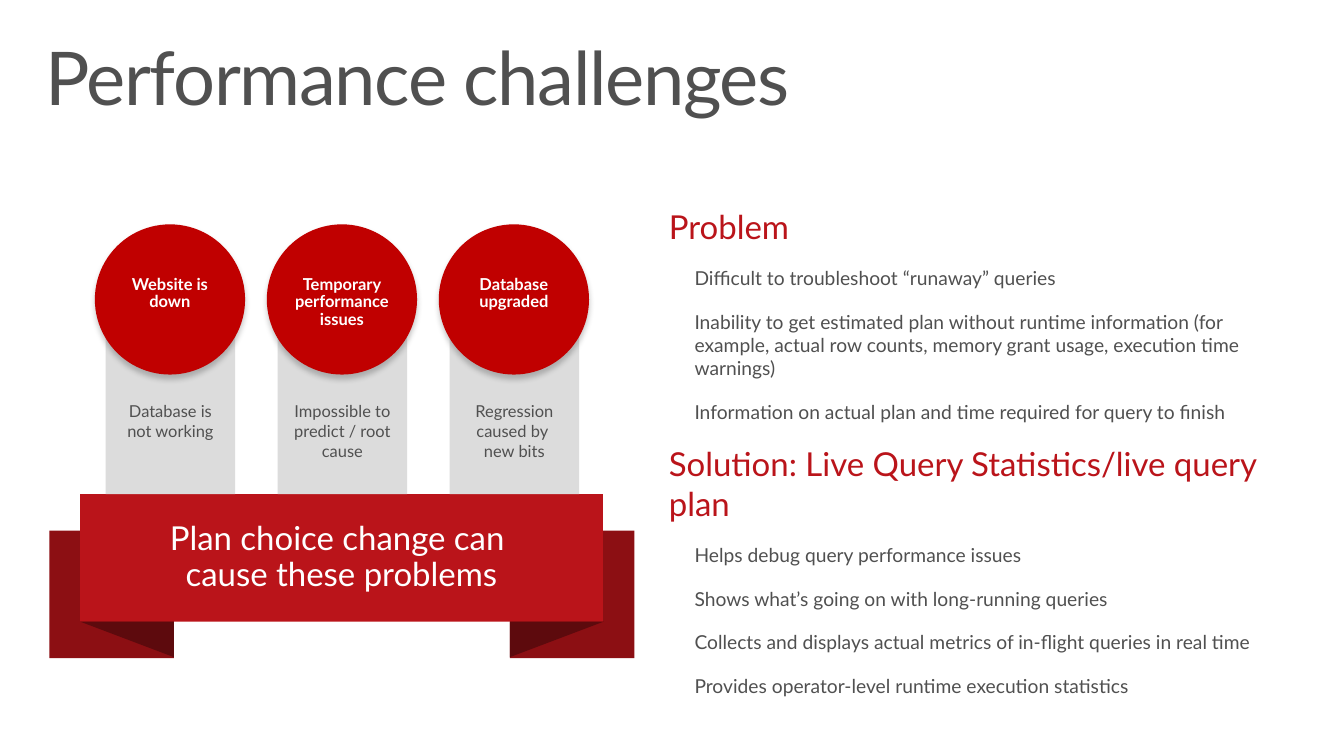
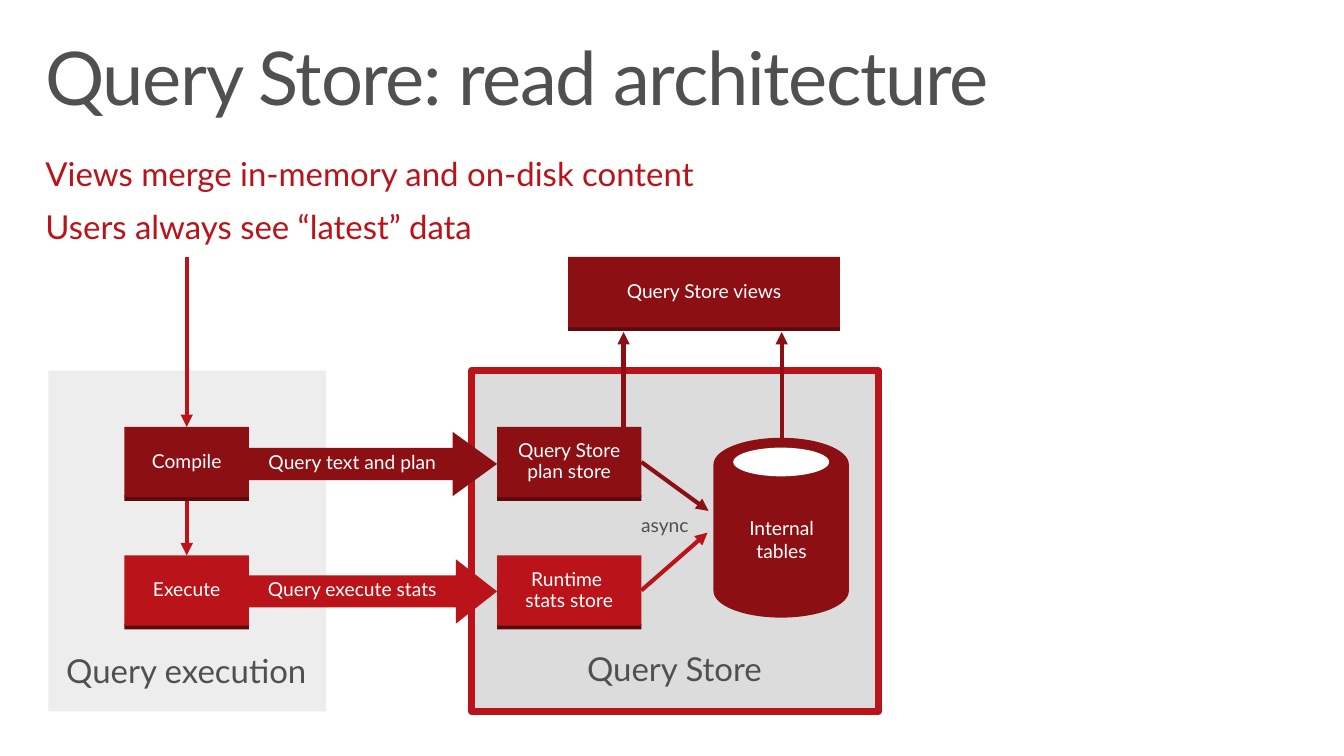
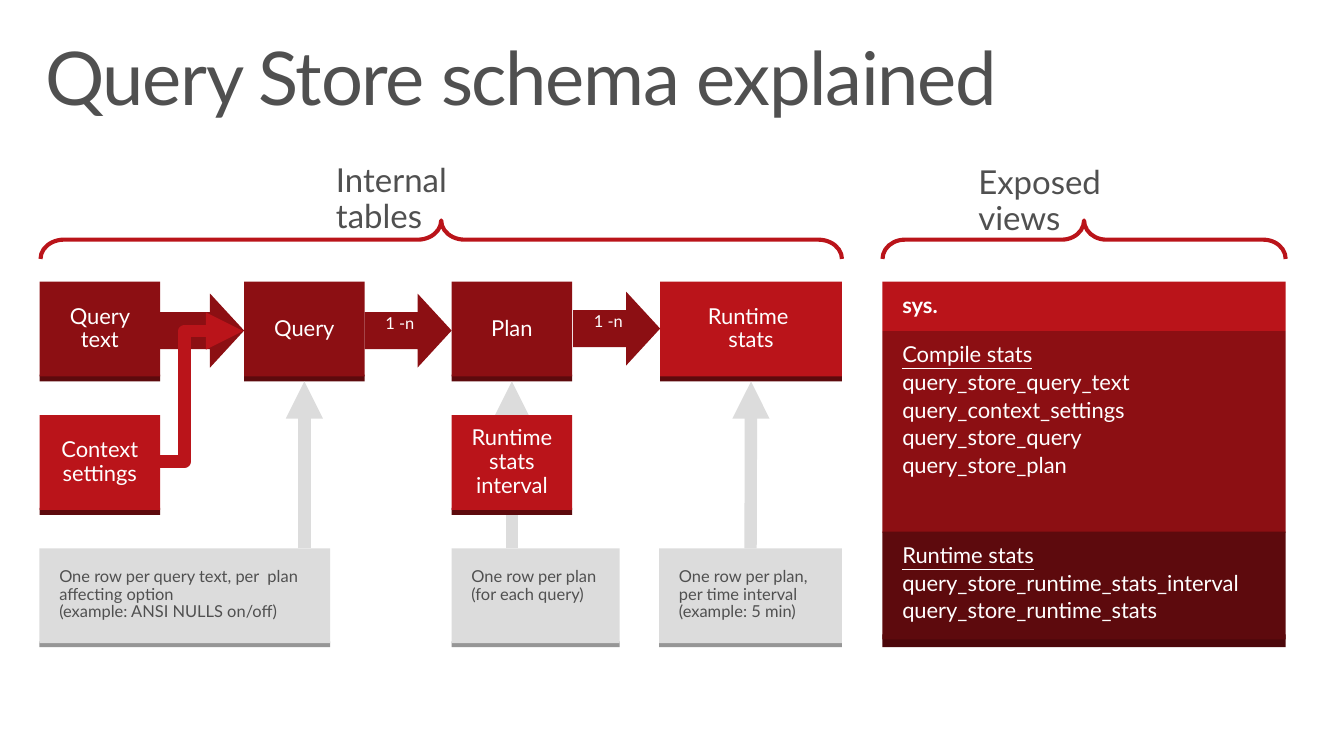
import math
from copy import deepcopy
from dataclasses import dataclass, replace
from typing import NamedTuple, Optional

from lxml import etree
from pptx import Presentation
from pptx.dml.color import RGBColor
from pptx.enum.shapes import MSO_CONNECTOR, MSO_SHAPE
from pptx.enum.text import MSO_ANCHOR, MSO_AUTO_SIZE, PP_ALIGN
from pptx.oxml.ns import qn
from pptx.util import Inches, Pt

RECTANGLE, ELLIPSE = MSO_SHAPE.RECTANGLE, MSO_SHAPE.OVAL
RIGHT_ARROW, BRACE = MSO_SHAPE.RIGHT_ARROW, MSO_SHAPE.RIGHT_BRACE
STRAIGHT, ELBOW = MSO_CONNECTOR.STRAIGHT, MSO_CONNECTOR.ELBOW
LEFT, CENTER, RIGHT = PP_ALIGN.LEFT, PP_ALIGN.CENTER, PP_ALIGN.RIGHT
TOP, MIDDLE = MSO_ANCHOR.TOP, MSO_ANCHOR.MIDDLE
SITE_TOP, SITE_BOTTOM, SITE_RIGHT = 0, 2, 3


@dataclass(frozen=True)
class Theme:
    font: str = "Lato"
    text: str = "505050"
    white: str = "FFFFFF"
    red: str = "BA141A"
    dark: str = "8C0F13"
    deep: str = "5D0A0D"
    darkest: str = "4C080B"
    bright: str = "C00000"
    gray: str = "DCDCDC"
    mid_gray: str = "969696"
    title_size: int = 54
    heading_size: int = 24
    block_size: int = 16
    body_size: int = 14
    small_size: int = 12


THEME = Theme()


class Box(NamedTuple):
    left: float
    top: float
    width: float
    height: float


@dataclass(frozen=True)
class TextStyle:
    size: int
    color: str = THEME.white
    bold: bool = False
    align: PP_ALIGN = CENTER
    anchor: MSO_ANCHOR = TOP
    insets: tuple[float, float, float, float] = (0, 0, 0, 0)
    line_spacing: float = 0.9
    space_before: int = 0
    space_after: int = 0


@dataclass(frozen=True)
class Block:
    """A rectangle standing on a thin darker base."""
    text: str
    box: Box
    fill: str
    base: str = THEME.deep
    depth: float = 0.05


WIDE_INSETS = (0.2, 0.16, 0.2, 0.16)
TITLE = TextStyle(THEME.title_size, THEME.text, align=LEFT, insets=(0.16, 0.1, 0.16, 0.1))
LEAD = replace(TITLE, size=THEME.heading_size, color=THEME.red, line_spacing=1, space_before=10)
CAPTION = TextStyle(THEME.heading_size, THEME.text, insets=WIDE_INSETS)
BLOCK = TextStyle(THEME.body_size, anchor=MIDDLE, insets=(0.1, 0.1, 0.1, 0.1))
LARGE_BLOCK = replace(BLOCK, size=THEME.block_size, insets=(0.16, 0.1, 0.16, 0.1))
NOTE = TextStyle(THEME.small_size, THEME.text, align=LEFT, insets=(0.2, 0.2, 0.2, 0.2))
LABEL = TextStyle(THEME.body_size)
VIEWS = TextStyle(THEME.block_size, align=LEFT, insets=(0.2, 0.1, 0.1, 0.1),
                  line_spacing=1, space_before=1)


# ---- text ----
def format_paragraph(paragraph, style: TextStyle, first: bool) -> None:
    paragraph.alignment = style.align
    paragraph.line_spacing = float(style.line_spacing)
    paragraph.space_before = Pt(0 if first else style.space_before)
    paragraph.space_after = Pt(style.space_after)
    for run in paragraph.runs:
        run.font.name = THEME.font
        run.font.size = Pt(style.size)
        run.font.bold = style.bold
        run.font.color.rgb = RGBColor.from_string(style.color)
    # Line breaks take the size of the text around them
    for line_break in paragraph._p.findall(qn("a:br")):
        line_break.append(deepcopy(paragraph.runs[0]._r.rPr))


def write(text_frame, text: str, style: TextStyle) -> None:
    text_frame.text = text
    text_frame.word_wrap = True
    text_frame.auto_size = MSO_AUTO_SIZE.NONE
    text_frame.vertical_anchor = style.anchor
    (text_frame.margin_left, text_frame.margin_top,
     text_frame.margin_right, text_frame.margin_bottom) = map(Inches, style.insets)
    for index, paragraph in enumerate(text_frame.paragraphs):
        format_paragraph(paragraph, style, index == 0)


def add_label(slide, box: Box, text: str, style: TextStyle):
    shape = slide.shapes.add_textbox(*map(Inches, box))
    write(shape.text_frame, text, style)
    return shape


def add_title_slide(presentation, title: str):
    slide = presentation.slides.add_slide(presentation.slide_layouts[5])
    shape = slide.shapes.title
    shape.left, shape.top, shape.width, shape.height = map(Inches, Box(0.3, 0.32, 13, 1))
    write(shape.text_frame, title, TITLE)
    shape.text_frame.paragraphs[0].runs[0].font._element.set("spc", "-100")
    return slide


# ---- shapes ----
def paint(shape, fill: Optional[str], line: Optional[str] = None, width: float = 0) -> None:
    shape.shadow.inherit = False
    if fill:
        shape.fill.solid()
        shape.fill.fore_color.rgb = RGBColor.from_string(fill)
    else:
        shape.fill.background()
    if line:
        shape.line.color.rgb = RGBColor.from_string(line)
        shape.line.width = Pt(width)
    else:
        shape.line.fill.background()


def add_panel(slide, box: Box, fill: str, text: str = "",
              style: TextStyle = BLOCK, kind: MSO_SHAPE = RECTANGLE):
    shape = slide.shapes.add_shape(kind, *map(Inches, box))
    paint(shape, fill)
    if text:
        write(shape.text_frame, text, style)
    return shape


def add_block(slide, block: Block, style: TextStyle):
    """Draw a block and give back its face and its base."""
    left, top, width, height = block.box
    base = add_panel(slide, Box(left, top + height - 0.02, width, block.depth + 0.02), block.base)
    return add_panel(slide, block.box, block.fill, block.text, style), base


def add_outline(slide, points: list[tuple[float, float]], fill: str) -> None:
    corners = [(Inches(x), Inches(y)) for x, y in points]
    builder = slide.shapes.build_freeform(*corners[0])
    builder.add_line_segments(corners[1:], close=True)
    paint(builder.convert_to_shape(), fill)


def add_block_arrow(slide, box: Box, fill: str, head: float) -> None:
    arrow = add_panel(slide, box, fill, kind=RIGHT_ARROW)
    arrow.adjustments[0], arrow.adjustments[1] = 0.5, head


def add_brace(slide, box: Box, curve: float) -> None:
    """Draw a brace that opens downward across the given box."""
    left, top, width, height = box
    shape = slide.shapes.add_shape(BRACE, *map(Inches, (
        left + (width - height) / 2, top + (height - width) / 2, height, width)))
    shape.rotation = 270
    shape.adjustments[0], shape.adjustments[1] = curve, 0.5
    paint(shape, None, THEME.red, 3)


def add_arrow(slide, start: tuple[float, float], end: tuple[float, float],
              color: str, width: float = 3, kind: MSO_CONNECTOR = STRAIGHT):
    connector = slide.shapes.add_connector(kind, *map(Inches, (*start, *end)))
    connector.line.color.rgb = RGBColor.from_string(color)
    connector.line.width = Pt(width)
    etree.SubElement(connector.line._get_or_add_ln(), qn("a:tailEnd"), type="triangle")
    etree.SubElement(connector._element.spPr, qn("a:effectLst"))
    return connector


def add_soft_shadow(shape) -> None:
    effects = shape._element.spPr.find(qn("a:effectLst"))
    shadow = etree.SubElement(effects, qn("a:outerShdw"), blurRad=str(Pt(4)), dist=str(Pt(3)),
                              dir="5400000", algn="t", rotWithShape="0")
    color = etree.SubElement(shadow, qn("a:srgbClr"), val="000000")
    etree.SubElement(color, qn("a:alpha"), val="21000")


# ---- slide 1 ----
def build_challenges(presentation) -> None:
    slide = add_title_slide(presentation, "Performance challenges")

    # Ribbon
    for left in (0.5, 5.16):
        add_panel(slide, Box(left, 5.37, 1.26, 1.29), THEME.dark)
    add_panel(slide, Box(0.81, 5, 5.29, 1.29), THEME.red,
              "Plan choice change can \vcause these problems",
              replace(BLOCK, size=THEME.heading_size, insets=(0, 0, 0, 0)))
    for outer, inner in ((0.81, 1.76), (6.11, 5.16)):
        add_outline(slide, [(outer, 6.29), (inner, 6.65), (inner, 6.29)], THEME.deep)

    # Pillars topped by circles
    pillar_style = TextStyle(THEME.small_size, THEME.text, insets=(0.1, 0.75, 0.1, 0.16),
                             line_spacing=1)
    circle_style = TextStyle(THEME.small_size, bold=True, insets=(0, 0.3, 0, 0))
    pillars = (("Website is down", "Database is not working"),
               ("Temporary performance issues", "Impossible to predict / root cause"),
               ("Database upgraded", "Regression caused by \vnew bits"))
    for index, (symptom, cause) in enumerate(pillars):
        left = 0.96 + 1.74 * index
        add_panel(slide, Box(left + 0.11, 3.31, 1.31, 1.69), THEME.gray, cause, pillar_style)
        add_soft_shadow(add_panel(slide, Box(left, 2.27, 1.52, 1.52), THEME.bright,
                                  symptom, circle_style, ELLIPSE))

    # Problem and solution
    sections = {
        "Problem": (
            "Difficult to troubleshoot “runaway” queries",
            "Inability to get estimated plan without runtime information (for example, "
            "actual row counts, memory grant usage, execution time warnings)",
            "Information on actual plan and time required for query to finish"),
        "Solution: Live Query Statistics/live query plan": (
            "Helps debug query performance issues",
            "Shows what’s going on with long-running queries",
            "Collects and displays actual metrics of in-flight queries in real time",
            "Provides operator-level runtime execution statistics")}
    heading = replace(LEAD, space_before=15, insets=(0.1, 0.05, 0.1, 0.05))
    detail = replace(heading, size=THEME.body_size, color=THEME.text)
    lines = [line for title, points in sections.items() for line in (title, *points)]
    body = add_label(slide, Box(6.67, 2.04, 6.46, 4.62), "\n".join(lines), heading)
    for paragraph in body.text_frame.paragraphs:
        if paragraph.text not in sections:
            paragraph.level = 1
            paragraph._p.get_or_add_pPr().set("marL", str(Inches(0.26)))
            paragraph._p.get_or_add_pPr().set("indent", "0")
            format_paragraph(paragraph, detail, False)


# ---- slide 2 ----
def add_cylinder(slide, box: Box, rim: float) -> None:
    center, radius = box.left + box.width / 2, box.width / 2
    steps = 32
    points = []
    for step in range(2 * steps + 2):
        upper = step <= steps
        angle = math.pi * (step if upper else step - 1) / steps
        middle = box.top + rim if upper else box.top + box.height - rim
        points.append((center - radius * math.cos(angle), middle - rim * math.sin(angle)))
    add_outline(slide, points, THEME.dark)


def build_architecture(presentation) -> None:
    slide = add_title_slide(presentation, "Query Store: read architecture")
    add_label(slide, Box(0.3, 1.45, 9.76, 1.15),
              "Views merge in-memory and on-disk content\nUsers always see “latest” data", LEAD)

    # Areas
    execution = add_panel(slide, Box(0.49, 3.75, 2.81, 3.45), THEME.gray)
    color = execution._element.spPr.find(qn("a:solidFill")).find(qn("a:srgbClr"))
    etree.SubElement(color, qn("a:alpha"), val="50000")
    add_label(slide, Box(0.47, 6.47, 2.83, 0.57), "Query execution", CAPTION)
    store = add_panel(slide, Box(4.77, 3.75, 4.12, 3.45), THEME.gray)
    paint(store, THEME.gray, THEME.red, 5)
    add_label(slide, Box(5.41, 6.45, 2.83, 0.57), "Query Store", CAPTION)
    add_label(slide, Box(5.31, 5.22, 1.66, 0.21), "async",
              replace(LABEL, color=THEME.text, align=RIGHT))

    # Blocks
    blocks = [add_block(slide, Block(text, Box(left, top, width, 0.71), fill, depth=0.04), BLOCK)
              for text, left, top, width, fill in (
                  ("Compile", 1.26, 4.32, 1.26, THEME.dark),
                  ("Execute", 1.26, 5.62, 1.26, THEME.red),
                  ("Query Store plan store", 5.03, 4.32, 1.46, THEME.dark),
                  ("Runtime \vstats store", 5.03, 5.62, 1.46, THEME.red),
                  ("Query Store views", 5.75, 2.6, 2.75, THEME.dark))]
    (compile_face, compile_base), (execute_face, _), (plan_face, _), (stats_face, _), _ = blocks

    # Internal tables
    add_cylinder(slide, Box(7.22, 4.43, 1.37, 1.82), 0.27)
    add_panel(slide, Box(7.42, 4.53, 0.97, 0.29), THEME.white, kind=ELLIPSE)
    add_label(slide, Box(7.23, 5.02, 1.36, 0.88), "Internal tables",
              replace(LABEL, anchor=MIDDLE, insets=WIDE_INSETS, line_spacing=1, space_after=6))

    # Wide arrows into the store
    for text, top, fill, head in (("Query text and plan", 4.37, THEME.dark, 0.69),
                                  ("Query execute stats", 5.66, THEME.red, 0.64)):
        add_block_arrow(slide, Box(2.52, top, 2.51, 0.65), fill, head)
        add_label(slide, Box(2.52, top + 0.21, 2.09, 0.21), text, LABEL)

    # Thin arrows
    add_arrow(slide, (1.89, 2.6), (1.89, 4.32), THEME.red).end_connect(compile_face, SITE_TOP)
    step = add_arrow(slide, (1.89, 5.07), (1.89, 5.62), THEME.red)
    step.begin_connect(compile_base, SITE_BOTTOM)
    step.end_connect(execute_face, SITE_TOP)
    for face, start, end, color in ((plan_face, (6.49, 4.67), (7.17, 5.17), THEME.dark),
                                    (stats_face, (6.49, 5.97), (7.16, 5.39), THEME.red)):
        add_arrow(slide, start, end, color).begin_connect(face, SITE_RIGHT)
    for x, y in ((6.31, 4.39), (7.91, 4.49)):
        add_arrow(slide, (x, y), (x, 3.36), THEME.dark)


# ---- slide 3 ----
def build_schema(presentation) -> None:
    slide = add_title_slide(presentation, "Query Store schema explained")

    # Headings with braces
    for text, label, brace, curve in (
            ("Internal tables", Box(3.2, 1.5, 2.38, 0.69), Box(0.41, 2.23, 8.11, 0.39), 0.61),
            ("Exposed views", Box(9.7, 1.52, 2.43, 0.69), Box(8.93, 2.23, 4.08, 0.39), 0.58)):
        add_label(slide, label, text, replace(CAPTION, align=LEFT))
        add_brace(slide, brace, curve)

    # Row of tables
    bases = [add_block(slide, Block(text, Box(left, 2.85, width, 0.96), fill), LARGE_BLOCK)[1]
             for text, left, width, fill in (
                 ("Query text", 0.4, 1.22, THEME.dark),
                 ("Query", 2.47, 1.22, THEME.dark),
                 ("Plan", 4.57, 1.22, THEME.dark),
                 ("Runtime \vstats", 6.68, 1.84, THEME.red))]
    for left, top, text in ((1.59, 2.97, ""), (3.69, 2.97, "1 -n"), (5.8, 2.95, "1 -n")):
        add_block_arrow(slide, Box(left, top, 0.88, 0.75), THEME.dark, 0.46)
        if text:
            add_label(slide, Box(left + 0.01, top + 0.06, 0.86, 0.5), text,
                      replace(LABEL, size=THEME.small_size, align=LEFT, insets=WIDE_INSETS))

    # Context settings feed the query
    bend = add_arrow(slide, (1.11, 4.67), (2.46, 3.35), THEME.red, 9, ELBOW)
    guides = bend._element.spPr.find(qn("a:prstGeom")).get_or_add_avLst()
    etree.SubElement(guides, qn("a:gd"), name="adj1", fmla="val 56200")

    # Notes with arrows up to their tables
    for text, left, width, x, base, centered in (
            ("One row per query text, per  plan affecting option\n(example: ANSI NULLS on/off)",
             0.4, 2.94, 3.08, bases[1], False),
            ("One row per plan (for each query)", 4.57, 1.7, 5.18, bases[2], False),
            ("One row per plan, per time interval (example: 5 min)",
             6.67, 1.85, 7.6, bases[3], True)):
        note = Block(text, Box(left, 5.55, width, 0.96), THEME.gray, THEME.mid_gray, 0.04)
        face, _ = add_block(slide, note, NOTE)
        arrow = add_arrow(slide, (x, 5.55), (x, 3.86), THEME.gray, 9)
        arrow.end_connect(base, SITE_BOTTOM)
        if centered:
            arrow.begin_connect(face, SITE_TOP)

    # Second row of tables
    for text, left in (("Context settings", 0.4), ("Runtime stats interval", 4.57)):
        add_block(slide, Block(text, Box(left, 4.2, 1.22, 0.96), THEME.red), LARGE_BLOCK)

    # Exposed views
    add_panel(slide, Box(8.93, 6.42, 4.08, 0.13), THEME.darkest)
    add_panel(slide, Box(8.93, 2.85, 4.08, 0.5), THEME.red, "sys.", replace(VIEWS, bold=True))
    for top, height, fill, lines in (
            (3.35, 2.04, THEME.dark,
             ("Compile stats", "query_store_query_text", "query_context_settings",
              "query_store_query", "query_store_plan")),
            (5.38, 1.09, THEME.deep,
             ("Runtime stats", "query_store_runtime_stats_interval",
              "query_store_runtime_stats"))):
        panel = add_panel(slide, Box(8.93, top, 4.08, height), fill, "\n".join(lines), VIEWS)
        panel.text_frame.paragraphs[0].runs[0].font.underline = True


def main() -> None:
    presentation = Presentation()
    presentation.slide_width, presentation.slide_height = Inches(13.6), Inches(7.65)
    build_challenges(presentation)
    build_architecture(presentation)
    build_schema(presentation)
    presentation.save("out.pptx")


if __name__ == "__main__":
    main()
